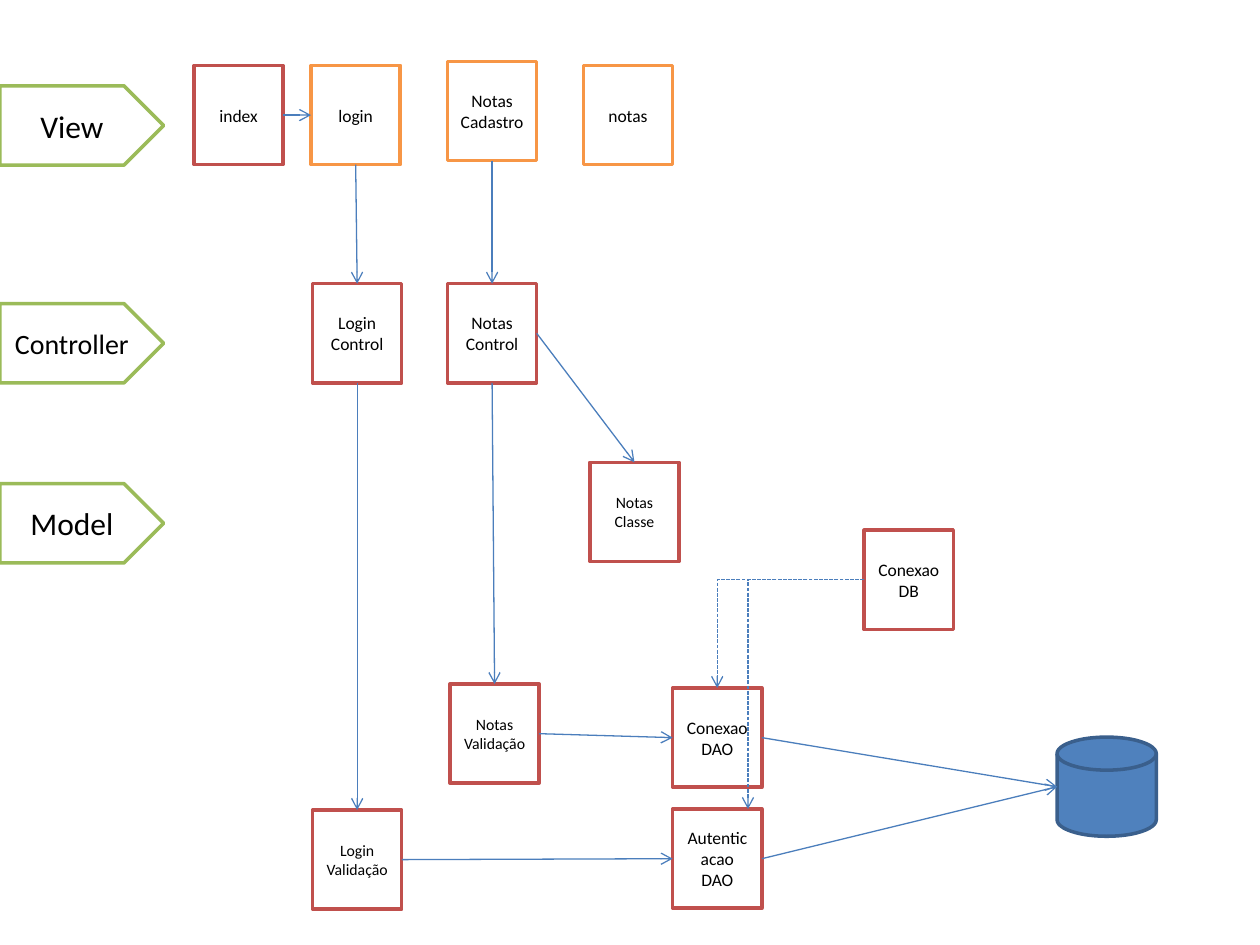
import pptx
import pptx.util
import pptx.dml.color
import pptx.enum.dml
import pptx.enum.shapes
import pptx.enum.text
import pptx.oxml

Cm, Pt = pptx.util.Cm, pptx.util.Pt
Geo = pptx.enum.shapes.MSO_SHAPE
Link = pptx.enum.shapes.MSO_CONNECTOR

# Content: layers (label, top, type size)
layers = [("View", 1.73, "big"), ("Controller", 6.12, "mid"), ("Model", 9.75, "big")]

# Classes: key -> (label, left, top, line colour, type size)
classes = {
    "index": ("index", 3.91, 1.32, "red", "text"),
    "login": ("login", 6.27, 1.32, "orange", "text"),
    "entry": ("Notas Cadastro", 9.02, 1.24, "orange", "text"),
    "notes": ("notas", 11.76, 1.32, "orange", "text"),
    "login control": ("Login Control", 6.3, 5.72, "red", "text"),
    "notes control": ("Notas Control", 9.02, 5.72, "red", "text"),
    "notes class": ("Notas Classe", 11.89, 9.32, "red", "small"),
    "db": ("ConexaoDB", 17.42, 10.69, "red", "text"),
    "notes check": ("Notas Validação", 9.07, 13.79, "red", "small"),
    "dao": ("ConexaoDAO", 13.56, 13.87, "red", "text"),
    "auth": ("Autenticacao DAO", 13.56, 16.31, "red", "text"),
    "login check": ("Login Validação", 6.3, 16.33, "red", "small"),
}
disk = (21.31, 14.86)

# Calls: (from, side, to, side)
calls = [
    ("index", "right", "login", "left"),
    ("login", "bottom", "login control", "top"),
    ("entry", "bottom", "notes control", "top"),
    ("login control", "bottom", "login check", "top"),
    ("notes control", "right", "notes class", "top"),
    ("notes control", "bottom", "notes check", "top"),
    ("notes check", "right", "dao", "left"),
    ("login check", "right", "auth", "left"),
    ("dao", "right", "disk", "left"),
    ("auth", "right", "disk", "left"),
]
# Dashed elbows: (from, to, shift of the end from the top centre)
bends = [("db", "dao", 0), ("db", "auth", 0.62)]

theme = {
    "font": "Calibri", "white": "FFFFFF", "black": "000000",
    "red": "C0504D", "orange": "F79646", "green": "9BBB59",
    "blue": "4F81BD", "navy": "3A5F8C", "wire": "4B7EBC",
    "big": 18, "mid": 16, "text": 10, "small": 9, "edge": 2, "thin": 0.75,
}
box, tag, drum = (1.8, 2), (3.3, 1.6), (2, 2)
sides = {"top": (0, 0.5, 0), "left": (1, 0, 0.5),
         "bottom": (2, 0.5, 1), "right": (3, 1, 0.5)}

deck = pptx.Presentation()
deck.slide_width, deck.slide_height = Cm(25.4), Cm(19.05)
slide = deck.slides.add_slide(deck.slide_layouts[6])


def tint(name):
    return pptx.dml.color.RGBColor.from_string(theme[name])


def node(kind, left, top, size, fill, line, label="", type_size="text"):
    shape = slide.shapes.add_shape(kind, Cm(left), Cm(top), *map(Cm, size))
    shape.shadow.inherit = False
    shape.fill.solid()
    shape.fill.fore_color.rgb = tint(fill)
    shape.line.color.rgb = tint(line)
    shape.line.width = Pt(theme["edge"])
    if label:
        frame = shape.text_frame
        frame.text = label
        frame.word_wrap = True
        frame.vertical_anchor = pptx.enum.text.MSO_ANCHOR.MIDDLE
        para = frame.paragraphs[0]
        para.alignment = pptx.enum.text.PP_ALIGN.CENTER
        font = para.runs[0].font
        font.name, font.size = theme["font"], Pt(theme[type_size])
        font.color.rgb = tint("black")
    return shape


def port(shape, side):
    _, x, y = sides[side]
    return int(shape.left + x * shape.width), int(shape.top + y * shape.height)


def arrow(kind, start, end):
    wire = slide.shapes.add_connector(kind, *start, *end)
    wire.line.color.rgb = tint("wire")
    wire.line.width = Pt(theme["thin"])
    return wire


def finish(wire):
    # Arrowhead at the end, no shadow
    ns = pptx.oxml.ns.qn
    head = wire.line._get_or_add_ln().makeelement(ns("a:tailEnd"), {"type": "arrow"})
    wire.line._get_or_add_ln().append(head)
    props = wire._element.spPr
    props.append(props.makeelement(ns("a:effectLst"), {}))


# Layer tags and class boxes
for label, top, size in layers:
    node(Geo.PENTAGON, 0, top, tag, "white", "green", label, size)
nodes = {key: node(Geo.RECTANGLE, left, top, box, "white", line, label, size)
         for key, (label, left, top, line, size) in classes.items()}
nodes["disk"] = node(Geo.FLOWCHART_MAGNETIC_DISK, *disk, drum, "blue", "navy")

# Straight arrows, glued to the boxes
for a, out, b, into in calls:
    wire = arrow(Link.STRAIGHT, port(nodes[a], out), port(nodes[b], into))
    wire.begin_connect(nodes[a], sides[out][0])
    if b != "disk":
        wire.end_connect(nodes[b], sides[into][0])
    finish(wire)

# Dashed arrows with one corner
for a, b, shift in bends:
    x, y = port(nodes[b], "top")
    wire = arrow(Link.ELBOW, port(nodes[a], "left"), (x + Cm(shift), y))
    wire._element.spPr.find(pptx.oxml.ns.qn("a:prstGeom")).set("prst", "bentConnector2")
    wire.line.dash_style = pptx.enum.dml.MSO_LINE.SQUARE_DOT
    wire.line._get_or_add_ln().prstDash.set("val", "sysDash")
    finish(wire)

deck.save("out.pptx")
